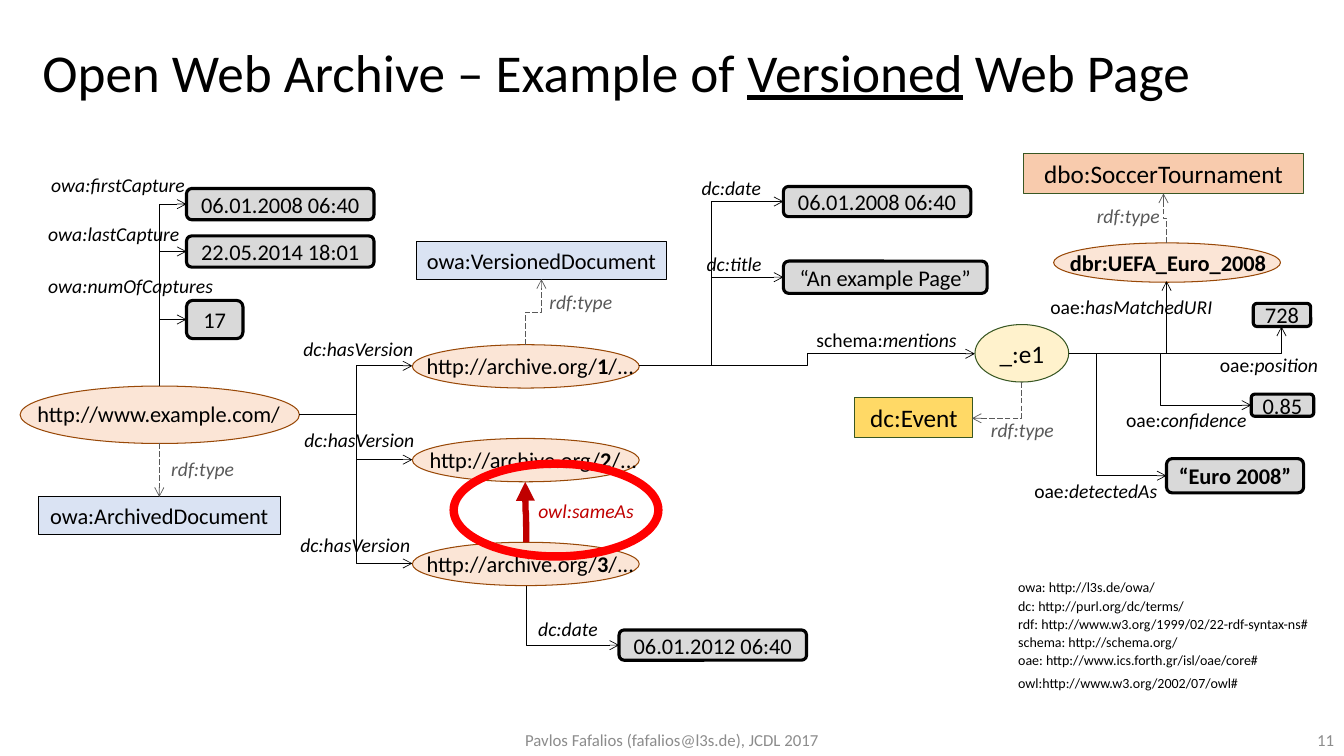
from pptx import Presentation
from pptx.dml.color import RGBColor
from pptx.enum.dml import MSO_LINE as Dash
from pptx.enum.shapes import MSO_CONNECTOR as Link, MSO_SHAPE as Shape
from pptx.enum.text import MSO_ANCHOR as Anchor, MSO_AUTO_SIZE as AutoSize, PP_ALIGN as Align
from pptx.oxml.ns import qn
from pptx.util import Inches, Pt
from lxml.etree import SubElement

CELL = Inches(0.1)
FONT = "Calibri"
COLORS = {
    "black": "000000", "footer": "8C8C8C", "type": "595959", "same": "C00000",
    "ring": "FF0000", "page": "FBE5D6", "page_edge": "984807", "value": "D9D9D9",
    "class": "DAE3F3", "event": "FFD966", "tournament": "F8CBAD",
    "entity": "FFF2CC", "entity_edge": "385723",
}


def color(name):
    return RGBColor.from_string(COLORS[name])


def grid(*cells):
    return [round(cell * CELL) for cell in cells]


def write(frame, spans, size, ink="black", align=Align.LEFT, anchor=Anchor.TOP):
    frame.word_wrap = True
    frame.auto_size = AutoSize.NONE
    frame.vertical_anchor = anchor
    para = frame.paragraphs[0]
    para.alignment = align
    for words, style in spans:
        span = para.add_run()
        span.text = words
        font = span.font
        font.name, font.size = FONT, Pt(size)
        font.color.rgb = color(ink)
        font.bold, font.italic, font.underline = (mark in style for mark in "biu")
    return para


def label(page, place, spans, size=14, ink="black", align=Align.LEFT, anchor=Anchor.TOP):
    box = page.shapes.add_textbox(*grid(*place))
    write(box.text_frame, spans, size, ink, align, anchor)


def node(page, kind, place, fill, edge="black", weight=0.75, words="", size=16, style=""):
    shape = page.shapes.add_shape(kind, *grid(*place))
    shape.shadow.inherit = False
    if fill:
        shape.fill.solid()
        shape.fill.fore_color.rgb = color(fill)
    else:
        shape.fill.background()
    shape.line.color.rgb = color(edge)
    shape.line.width = Pt(weight)
    if words:
        frame = shape.text_frame
        if kind == Shape.OVAL:
            frame.margin_left = frame.margin_right = 0
        write(frame, [(words, style)], size, align=Align.CENTER, anchor=Anchor.MIDDLE)


def value(page, place, words, style=""):
    node(page, Shape.ROUNDED_RECTANGLE, place, "value", weight=2.25, words=words, style=style)


def resource(page, place, text_place, spans):
    node(page, Shape.OVAL, place, "page", "page_edge")
    label(page, text_place, spans, 16, align=Align.CENTER)


def arrow(page, start, end, vertical=False, corner=False, bend=0.5, ink="black",
          weight=0.5, kind=Link.ELBOW, head="arrow"):
    (x1, y1), (x2, y2) = start, end
    if vertical:
        mid_x, mid_y = (x1 + x2) / 2, (y1 + y2) / 2
        half_x, half_y = (x2 - x1) / 2, (y2 - y1) / 2
        x1, y1, x2, y2 = mid_x - half_y, mid_y + half_x, mid_x + half_y, mid_y - half_x
    link = page.shapes.add_connector(kind, *grid(x1, y1, x2, y2))
    if vertical:
        link.rotation = 90
    link.line.color.rgb = color(ink)
    link.line.width = Pt(weight)
    if ink == "type":
        link.line.dash_style = Dash.LONG_DASH
    props = link._element.spPr
    outline = props.find(qn("a:ln"))
    SubElement(outline, qn("a:tailEnd"), type=head)
    SubElement(props, qn("a:effectLst"))
    shape = props.find(qn("a:prstGeom"))
    if corner:
        shape.set("prst", "bentConnector2")
    elif bend != 0.5:
        guides = shape.find(qn("a:avLst"))
        SubElement(guides, qn("a:gd"), name="adj1", fmla=f"val {round(bend * 100000)}")


def type_arrow(page, start, end, text_at, corner=False):
    arrow(page, start, end, vertical=True, corner=corner, ink="type")
    label(page, (*text_at, 8.3, 3.4), [("rdf:type", "i")], ink="type")


def add_title(page):
    title = page.shapes.title
    title.left, title.top, title.width, title.height = grid(3.2, 0.2, 126.8, 14.5)
    spans = [("Open Web Archive – Example of ", ""), ("Versioned", "u"), (" Web Page", "")]
    write(title.text_frame, spans, 38, anchor=Anchor.MIDDLE).line_spacing = 0.9


def add_archived_page(page):
    site = (29.7, 41.1)
    resource(page, (2, 38.3, 27.7, 5.7), (2.4, 39.2, 26.7, 3.7), [("http://www.example.com/", "")])
    captures = [
        ("owa:firstCapture", (4.1, 16.7, 15.4), "06.01.2008 06:40", (18.5, 18.7, 18.6, 3.1)),
        ("owa:lastCapture", (3.8, 21.5, 15.2), "22.05.2014 18:01", (18.5, 23.4, 18.6, 3.1)),
        ("owa:numOfCaptures", (3.8, 26.7, 18.5), "17", (18.5, 29.8, 5.6, 3.8)),
    ]
    for name, text_place, words, place in captures:
        value(page, place, words)
        arrow(page, (15.8, 38.3), (place[0], place[1] + place[3] / 2), vertical=True, corner=True)
        label(page, (*text_place, 3.4), [(name, "i")])
    node(page, Shape.RECTANGLE, (3.8, 49.3, 24, 3.7), "class", words="owa:ArchivedDocument")
    type_arrow(page, (15.8, 44), (15.8, 49.3), (16, 44.8))
    versions = [
        ("1", 34.2, (41.1, 34.4), (29.1, 32.9)),
        ("2", 43.5, (41.4, 43.8), (29.2, 42)),
        ("3", 53.8, (41.1, 54.1), (28.8, 52.4)),
    ]
    for number, top, text_at, name_at in versions:
        arrow(page, site, (40.9, top + 2.1), bend=0.5)
        spans = [("http://archive.org/", ""), (number, "b"), ("/...", "")]
        resource(page, (40.9, top, 22.5, 4.3), (*text_at, 23, 3.7), spans)
        label(page, (*name_at, 14.3, 3.4), [("dc:hasVersion", "i")])


def add_versions(page):
    version = (63.4, 36.3)
    node(page, Shape.RECTANGLE, (41.3, 24, 24.8, 3.7), "class", words="owa:VersionedDocument")
    type_arrow(page, (52.1, 34.2), (53.7, 27.7), (53.5, 28.3))
    facts = [
        ("dc:date", (68.6, 17, 8), "06.01.2008 06:40", (77.7, 18.5, 18.6, 3), 20),
        ("dc:title", (69.1, 24.5, 7.6), "“An example Page”", (77.7, 25.9, 20.2, 3.2), 27.5),
    ]
    for name, text_place, words, place, tip in facts:
        value(page, place, words)
        arrow(page, version, (77.7, tip))
        label(page, (*text_place, 3.4), [(name, "i")])
    arrow(page, version, (96.7, 35.1))
    label(page, (80, 32, 18.4, 3.4), [("schema:", ""), ("mentions", "i")])
    value(page, (61.4, 62.5, 18.6, 3), "06.01.2012 06:40")
    arrow(page, (52.2, 58.1), (61.4, 64), vertical=True, corner=True)
    label(page, (52.4, 60.7, 8, 3.4), [("dc:date", "i")])
    arrow(page, (52.2, 53.8), (52.1, 47.8), vertical=True, ink="same", weight=4.5,
          kind=Link.CURVE, head="triangle")
    label(page, (52.4, 49, 11.9, 3.4), [("owl:sameAs", "i")], ink="same")
    node(page, Shape.OVAL, (45, 46, 20.3, 9.2), None, "ring", 6)


def add_entity(page):
    entity = (106, 35.1)
    node(page, Shape.OVAL, (96.7, 32.2, 9.3, 5.7), "entity", "entity_edge", words="_:e1", size=18)
    node(page, Shape.RECTANGLE, (84.8, 39.4, 11.7, 4), "event", "entity_edge",
         words="dc:Event", size=18)
    type_arrow(page, (101.3, 37.9), (96.4, 41.5), (97.3, 41), corner=True)
    node(page, Shape.RECTANGLE, (101.5, 15.2, 27.8, 4), "tournament", "entity_edge",
         words="dbo:SoccerTournament", size=18)
    resource(page, (104.5, 24.1, 22.5, 3.9), (104.9, 24.2, 21.9, 3.7),
             [("dbr:UEFA_Euro_2008", "b")])
    type_arrow(page, (115.7, 24.1), (115.4, 19.2), (107.8, 19.7))
    value(page, (124.3, 30.1, 5.7, 2.3), "728")
    value(page, (124.1, 39.1, 6.2, 2.2), "0.85")
    value(page, (115.7, 45.5, 13.6, 3.4), "“Euro 2008”", "b")
    arrow(page, entity, (115.7, 27.9), corner=True)
    arrow(page, entity, (127.1, 32.4), corner=True)
    arrow(page, entity, (124.1, 40.2))
    arrow(page, entity, (115.7, 47.2), bend=0.28)
    names = [
        ("oae:", "hasMatchedURI", (103.2, 28.8, 18.3)),
        ("oae", ":position", (120, 34.5, 11.9)),
        ("oae:", "confidence", (110.7, 40, 14.1)),
        ("oae", ":detectedAs", (101.6, 47, 14.3)),
    ]
    for prefix, name, text_place in names:
        label(page, (*text_place, 3.4), [(prefix, ""), (name, "i")])


def add_prefixes(page):
    frame = page.shapes.add_textbox(*grid(100, 56.8, 31.5, 12.4)).text_frame
    frame.word_wrap = True
    entries = [
        ("owa: http://l3s.de/owa/", 13),
        ("dc: http://purl.org/dc/terms/\vrdf: http://www.w3.org/1999/02/22-rdf-syntax-ns#"
         "\vschema: http://schema.org/", 13),
        ("oae: http://www.ics.forth.gr/isl/oae/core#", 13),
        ("owl:http://www.w3.org/2002/07/owl#", 16),
    ]
    for index, (words, spacing) in enumerate(entries):
        para = frame.add_paragraph() if index else frame.paragraphs[0]
        para.text = words
        para.line_spacing = Pt(spacing)
        for span in para.runs:
            span.font.name, span.font.size = FONT, Pt(10)
            span.font.color.rgb = color("black")


def main():
    deck = Presentation()
    deck.slide_width, deck.slide_height = Inches(13.33), Inches(7.5)
    page = deck.slides.add_slide(deck.slide_layouts[5])
    add_title(page)
    add_archived_page(page)
    add_versions(page)
    add_entity(page)
    add_prefixes(page)
    label(page, (0, 70.9, 133.3, 4), [("Pavlos Fafalios (fafalios@l3s.de), JCDL 2017", "")],
          12, "footer", Align.CENTER, Anchor.BOTTOM)
    label(page, (129, 70.9, 4.3, 4), [("11", "")], 12, "footer", Align.RIGHT, Anchor.BOTTOM)
    deck.save("out.pptx")


if __name__ == "__main__":
    main()
